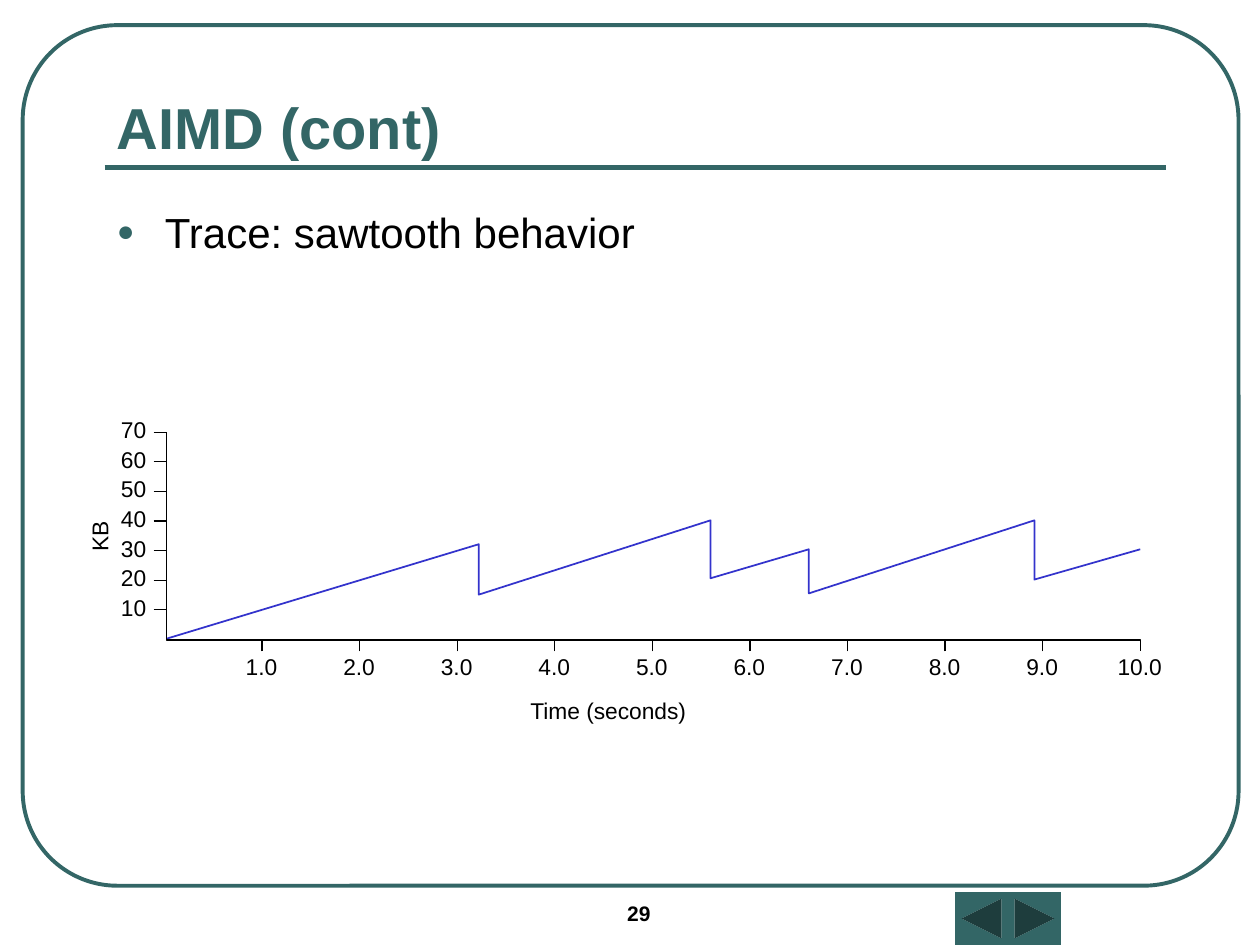
import pptx
import pptx.util
import pptx.dml.color
import pptx.enum.shapes
import pptx.enum.text
import pptx.oxml
import pptx.oxml.ns
from pptx.util import Inches

TEAL, BLACK, BLUE = "336666", "000000", "3333CC"
SHAPE = pptx.enum.shapes.MSO_SHAPE
ALIGN = pptx.enum.text.PP_ALIGN
ANCHOR = pptx.enum.text.MSO_ANCHOR

AXIS_LEFT, AXIS_RIGHT, AXIS_TOP, AXIS_BOTTOM = 1.32, 9.05, 3.43, 5.08
FIRST_SECOND = 2.08
SECOND_STEP = (AXIS_RIGHT - FIRST_SECOND) / 9
FIRST_KB = 4.84
KB_STEP = (FIRST_KB - AXIS_TOP) / 6
TRACE = [(1.32, 5.07), (3.8, 4.32), (3.8, 4.72), (5.64, 4.13), (5.64, 4.59),
         (6.42, 4.36), (6.42, 4.71), (8.21, 4.13), (8.21, 4.6), (9.05, 4.36)]


def color(value):
    return pptx.dml.color.RGBColor.from_string(value)


def set_line(line, value, width):
    line.color.rgb = color(value)
    line.width = pptx.util.Pt(width)


def add_bullet(p, char, value, size, indent):
    """Give a paragraph a hanging bullet; size is a percentage."""
    pPr = p._p.get_or_add_pPr()
    pPr.set("marL", str(Inches(indent)))
    pPr.set("indent", str(-Inches(indent)))
    ns = pptx.oxml.ns.nsdecls("a")
    for xml in (f'<a:buClr {ns}><a:srgbClr val="{value}"/></a:buClr>',
                f'<a:buSzPct {ns} val="{size * 1000}"/>',
                f'<a:buFont {ns} typeface="Arial"/>',
                f'<a:buChar {ns} char="{char}"/>'):
        pPr.append(pptx.oxml.parse_xml(xml))


def add_text(s, text, left, top, width, height, size=13, value=BLACK, bold=False,
             align=ALIGN.LEFT, anchor=ANCHOR.TOP, inset=(0, 0), wrap=False,
             rotation=0, bullet=False, spacing=None):
    sp = s.shapes.add_textbox(Inches(left), Inches(top), Inches(width), Inches(height))
    sp.rotation = rotation
    tf = sp.text_frame
    tf.word_wrap = wrap
    tf.vertical_anchor = anchor
    tf.margin_left = tf.margin_right = Inches(inset[0])
    tf.margin_top = tf.margin_bottom = Inches(inset[1])
    p = tf.paragraphs[0]
    p.alignment = align
    if spacing:
        p.line_spacing = spacing
    if bullet:
        add_bullet(p, "●", TEAL, 70, 0.38)
    r = p.add_run()
    r.text = text
    r.font.name = "Arial"
    r.font.size = pptx.util.Pt(size)
    r.font.bold = bold
    r.font.color.rgb = color(value)


def add_line(s, x1, y1, x2, y2, value=BLACK, width=0.75):
    line = s.shapes.add_connector(pptx.enum.shapes.MSO_CONNECTOR.STRAIGHT,
                                  Inches(x1), Inches(y1), Inches(x2), Inches(y2))
    set_line(line.line, value, width)
    line._element.spPr.append(pptx.oxml.parse_xml(
        f'<a:effectLst {pptx.oxml.ns.nsdecls("a")}/>'))


def add_path(s, points, value, width):
    """Draw an open, unfilled polyline."""
    start, *rest = [(Inches(x), Inches(y)) for x, y in points]
    builder = s.shapes.build_freeform(*start)
    builder.add_line_segments(rest, close=False)
    sp = builder.convert_to_shape()
    sp.shadow.inherit = False
    sp.fill.background()
    set_line(sp.line, value, width)


def add_frame(s):
    sp = s.shapes.add_shape(SHAPE.ROUNDED_RECTANGLE, Inches(0.18), Inches(0.2),
                            Inches(9.65), Inches(6.83))
    sp.adjustments[0] = 0.11
    sp.shadow.inherit = False
    sp.fill.background()
    set_line(sp.line, TEAL, 2.25)
    add_line(s, 0.83, 1.33, 9.25, 1.33, TEAL, 3)


def add_button(s, kind, left):
    sp = s.shapes.add_shape(kind, Inches(left), Inches(7.08), Inches(0.42), Inches(0.42))
    sp.shadow.inherit = False
    sp.fill.solid()
    sp.fill.fore_color.rgb = color(TEAL)
    sp.line.fill.background()


def add_trace_plot(s):
    for i in range(7):
        y = FIRST_KB - i * KB_STEP
        add_line(s, AXIS_LEFT - 0.1, y, AXIS_LEFT, y)
        add_text(s, str(10 * (i + 1)), 0.96, y - 0.13, 0.2, 0.22)
    for i in range(10):
        x = FIRST_SECOND + i * SECOND_STEP
        if i < 9:
            add_line(s, x, AXIS_BOTTOM + 0.09, x, AXIS_BOTTOM)
        add_text(s, f"{i + 1}.0", x - 0.18, 5.18, 0.35, 0.22, align=ALIGN.CENTER)
    add_text(s, "KB", 0.67, 4.15, 0.24, 0.22, rotation=270)
    add_text(s, "Time (seconds)", 4.21, 5.53, 1.24, 0.22)
    add_path(s, TRACE, BLUE, 1)
    add_path(s, [(AXIS_LEFT, AXIS_TOP), (AXIS_LEFT, AXIS_BOTTOM),
                 (AXIS_RIGHT, AXIS_BOTTOM), (AXIS_RIGHT, AXIS_BOTTOM + 0.09)], BLACK, 0.75)


def main():
    prs = pptx.Presentation()
    prs.slide_width, prs.slide_height = Inches(10), Inches(7.5)
    s = prs.slides.add_slide(prs.slide_layouts[6])
    add_frame(s)
    add_button(s, SHAPE.ACTION_BUTTON_BACK_OR_PREVIOUS, 7.58)
    add_button(s, SHAPE.ACTION_BUTTON_FORWARD_OR_NEXT, 8)
    box = {"inset": (0.1, 0.05), "wrap": True}
    add_text(s, "29", 4.88, 7.1, 1.17, 0.33, size=12, bold=True, **box)
    add_text(s, "AIMD (cont)", 0.83, 0.58, 8.42, 0.75, size=33, value=TEAL,
             bold=True, anchor=ANCHOR.BOTTOM, **box)
    add_text(s, "Trace: sawtooth behavior", 0.83, 1.67, 8.42, 4.83, size=24,
             bullet=True, spacing=0.8, **box)
    add_trace_plot(s)
    prs.save("out.pptx")


if __name__ == "__main__":
    main()
